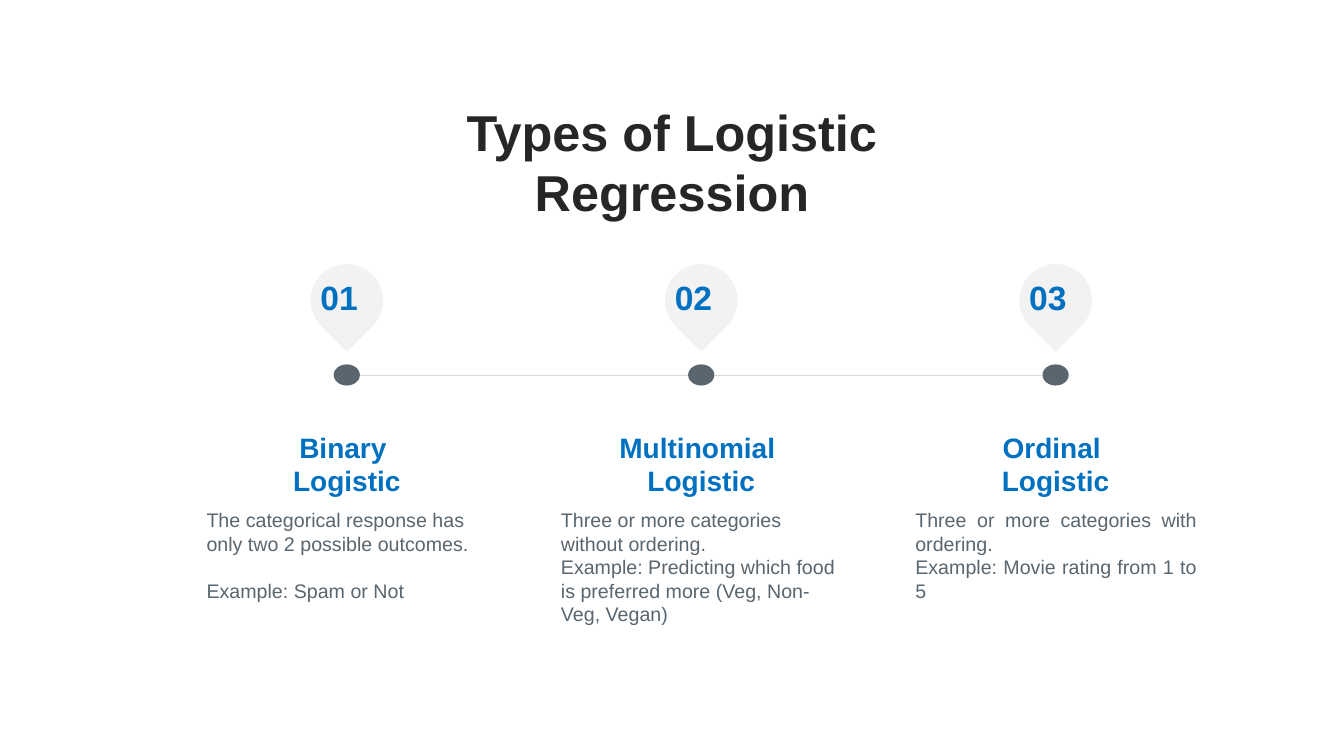
from dataclasses import dataclass

from lxml import etree
from pptx import Presentation
from pptx.dml.color import RGBColor
from pptx.enum.shapes import MSO_CONNECTOR, MSO_SHAPE
from pptx.enum.text import MSO_ANCHOR, MSO_AUTO_SIZE, PP_ALIGN
from pptx.oxml.ns import qn
from pptx.util import Inches, Pt

LEFT, MID, JUST = PP_ALIGN.LEFT, PP_ALIGN.CENTER, PP_ALIGN.JUSTIFY
TOP, FIXED = MSO_ANCHOR.TOP, MSO_AUTO_SIZE.NONE
DROP, OVAL, LINE = MSO_SHAPE.TEAR, MSO_SHAPE.OVAL, MSO_CONNECTOR.STRAIGHT

TITLE = "Types of Logistic Regression"
# heading, heading width, body paragraphs, body alignment, gap between them in points
TYPES = [
    (["Binary ", "Logistic"], 1.61,
     ["The categorical response has only two 2 possible outcomes.",
      "Example: Spam or Not"], LEFT, 17),
    (["Multinomial ", "Logistic"], 2.22,
     ["Three or more categories without ordering. \v"
      "Example: Predicting which food is preferred more (Veg, Non-Veg, Vegan)"],
     LEFT, 0),
    (["Ordinal ", "Logistic"], 1.61,
     ["Three or more categories with ordering. ",
      "Example: Movie rating from 1 to 5"], JUST, 0),
]


@dataclass(frozen=True)
class Theme:
    font: str = "Arial"
    ink: str = "262626"
    blue: str = "0070C0"
    slate: str = "59656F"
    pale: str = "F2F2F2"
    rule: str = "D9D9D9"
    title: int = 36
    number: int = 24
    head: int = 20
    body: int = 14


THEME = Theme()
FIRST, LAST = 3.44, 10.47
PITCH = (LAST - FIRST) / (len(TYPES) - 1)
AXIS = 3.72
PIN = 0.72
DOT_W, DOT_H = 0.26, 0.21


def color(code):
    return RGBColor.from_string(code)


def write(frame, lines, size, code, bold=False, align=LEFT, gap=0):
    frame.auto_size = FIXED
    frame.vertical_anchor = TOP
    frame.text = "\n".join(lines)
    for i, para in enumerate(frame.paragraphs):
        para.alignment = align
        para.space_before = Pt(gap if i else 0)
        font = para.font
        font.name, font.size, font.bold = THEME.font, Pt(size), bold
        font.color.rgb = color(code)


def add_text(slide, x, y, w, h, *args, **style):
    box = slide.shapes.add_textbox(Inches(x), Inches(y), Inches(w), Inches(h))
    box.text_frame.word_wrap = True
    write(box.text_frame, *args, **style)


def add_mark(slide, kind, mid, y, w, h, code):
    mark = slide.shapes.add_shape(
        kind, Inches(mid - w / 2), Inches(y), Inches(w), Inches(h))
    mark.shadow.inherit = False
    mark.fill.solid()
    mark.fill.fore_color.rgb = color(code)
    mark.line.fill.background()
    return mark


def add_title(slide):
    title = slide.shapes.title
    title.left, title.top = Inches(3.1), Inches(0.95)
    title.width, title.height = Inches(7.13), Inches(0.71)
    title.text_frame.word_wrap = False
    write(title.text_frame, [TITLE], THEME.title, THEME.ink, True, MID)


def add_axis(slide):
    axis = slide.shapes.add_connector(
        LINE, Inches(FIRST + DOT_W / 2), Inches(AXIS),
        Inches(LAST - DOT_W / 2), Inches(AXIS))
    axis.line.color.rgb = color(THEME.rule)
    axis.line.width = Pt(0.5)
    etree.SubElement(axis._element.spPr, qn("a:effectLst"))


def add_type(slide, i, head, width, body, align, gap):
    mid = FIRST + i * PITCH
    pin = add_mark(slide, DROP, mid, 2.62, PIN, PIN, THEME.pale)
    pin.rotation = 135
    add_mark(slide, OVAL, mid, AXIS - DOT_H / 2, DOT_W, DOT_H, THEME.slate)
    add_text(slide, mid - 0.36, 2.7, 0.73, 0.5,
             [f"{i + 1:02}"], THEME.number, THEME.blue, bold=True)
    add_text(slide, mid - width / 2, 4.22, width, 0.77,
             head, THEME.head, THEME.blue, bold=True, align=MID)
    add_text(slide, mid - 1.49, 4.99, 2.99, 1.28 if len(body) == 1 else 1.04,
             body, THEME.body, THEME.slate, align=align, gap=gap)


def main():
    deck = Presentation()
    deck.slide_width, deck.slide_height = Inches(13.33), Inches(7.5)
    slide = deck.slides.add_slide(deck.slide_layouts[5])
    add_title(slide)
    add_axis(slide)
    for i, item in enumerate(TYPES):
        add_type(slide, i, *item)
    deck.save("out.pptx")


if __name__ == "__main__":
    main()
